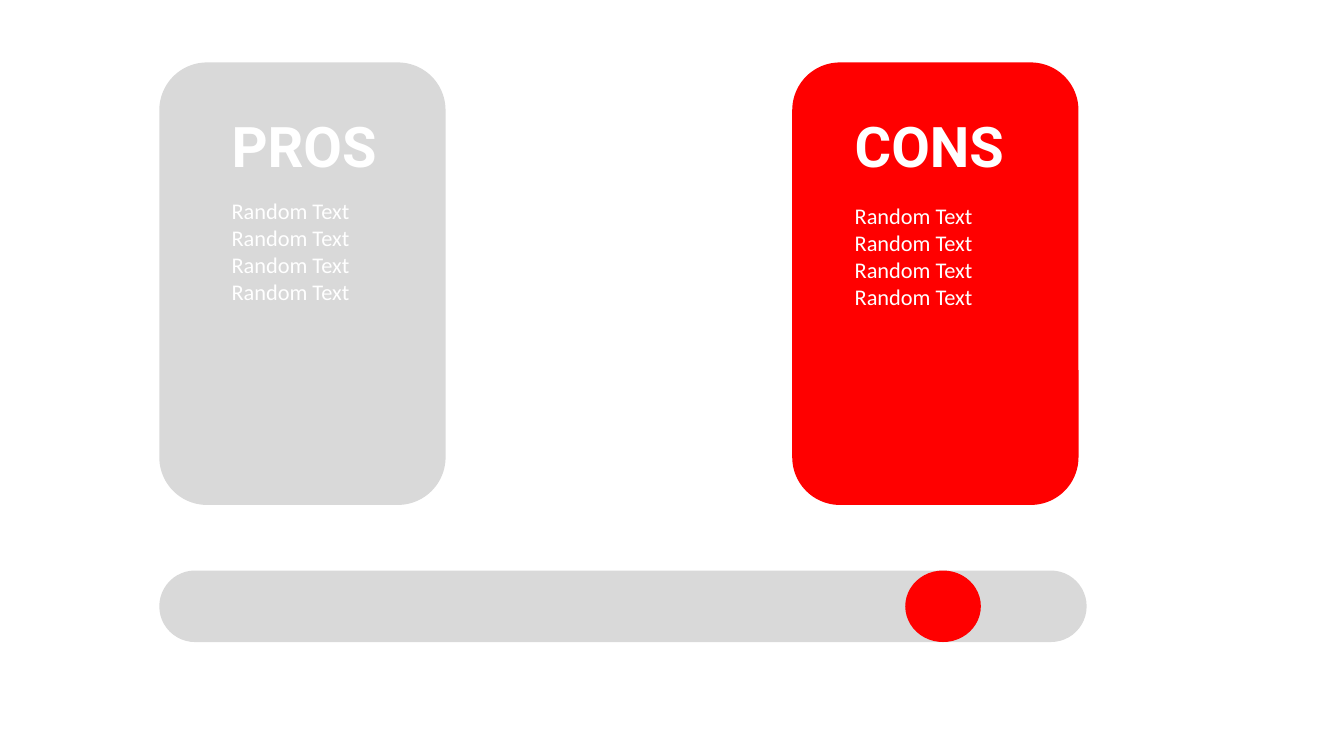
from dataclasses import dataclass

from pptx import Presentation
from pptx import util as u
from pptx.dml.color import RGBColor
from pptx.enum import shapes, text

GRAY, RED, WHITE = "D9D9D9", "FF0000", "FFFFFF"
ROUNDED = shapes.MSO_SHAPE.ROUNDED_RECTANGLE
OVAL = shapes.MSO_SHAPE.OVAL


@dataclass
class Card:
    title: str
    fill: str
    left: float
    text_left: float
    body_top: float
    body_width: float
    lines: list[str]


CARDS = [
    Card("CONS", RED, 565.9, 603.4, 141.1, 176.4, ["Random Text"] * 4),
    Card("PROS", GRAY, 113.8, 158.4, 137.5, 115.2, ["Random Text"] * 4),
]


def color(value: str) -> RGBColor:
    return RGBColor.from_string(value)


def add_block(parent, kind, left: float, top: float, width: float,
              height: float, fill: str):
    sp = parent.add_shape(kind, u.Pt(left), u.Pt(top), u.Pt(width), u.Pt(height))
    sp.shadow.inherit = False
    sp.fill.solid()
    sp.fill.fore_color.rgb = color(fill)
    sp.line.fill.background()
    return sp


def add_label(parent, left: float, top: float, width: float, height: float,
              lines: list[str], font: str, size: float, bold: bool) -> None:
    sp = parent.add_textbox(u.Pt(left), u.Pt(top), u.Pt(width), u.Pt(height))
    tf = sp.text_frame
    tf.word_wrap = True
    tf.auto_size = text.MSO_AUTO_SIZE.SHAPE_TO_FIT_TEXT
    tf.text = "\n".join(lines)
    for p in tf.paragraphs:
        for r in p.runs:
            r.font.name = font
            r.font.size = u.Pt(size)
            r.font.bold = bold
            r.font.color.rgb = color(WHITE)


def add_card(slide, card: Card) -> None:
    parts = slide.shapes.add_group_shape().shapes
    add_block(parts, ROUNDED, card.left, 44.6, 204.5, 316.1, card.fill)
    add_label(parts, card.text_left, 76.3, 138.2, 55.4,
              [card.title], "Roboto", 40, True)
    add_label(parts, card.text_left, card.body_top, card.body_width, 106.6,
              card.lines, "Calibri", 16, False)


def main() -> None:
    prs = Presentation()
    prs.slide_width, prs.slide_height = u.Pt(960), u.Pt(540)
    slide = prs.slides.add_slide(prs.slide_layouts[6])

    # Slider track and knob
    track = add_block(slide.shapes, ROUNDED, 113.8, 407.5, 662.4, 51.1, GRAY)
    track.adjustments[0] = 0.5
    add_block(slide.shapes, OVAL, 646.6, 407.5, 54, 51.1, RED)

    # Pros and cons cards
    for card in CARDS:
        add_card(slide, card)

    prs.save("out.pptx")


if __name__ == "__main__":
    main()
